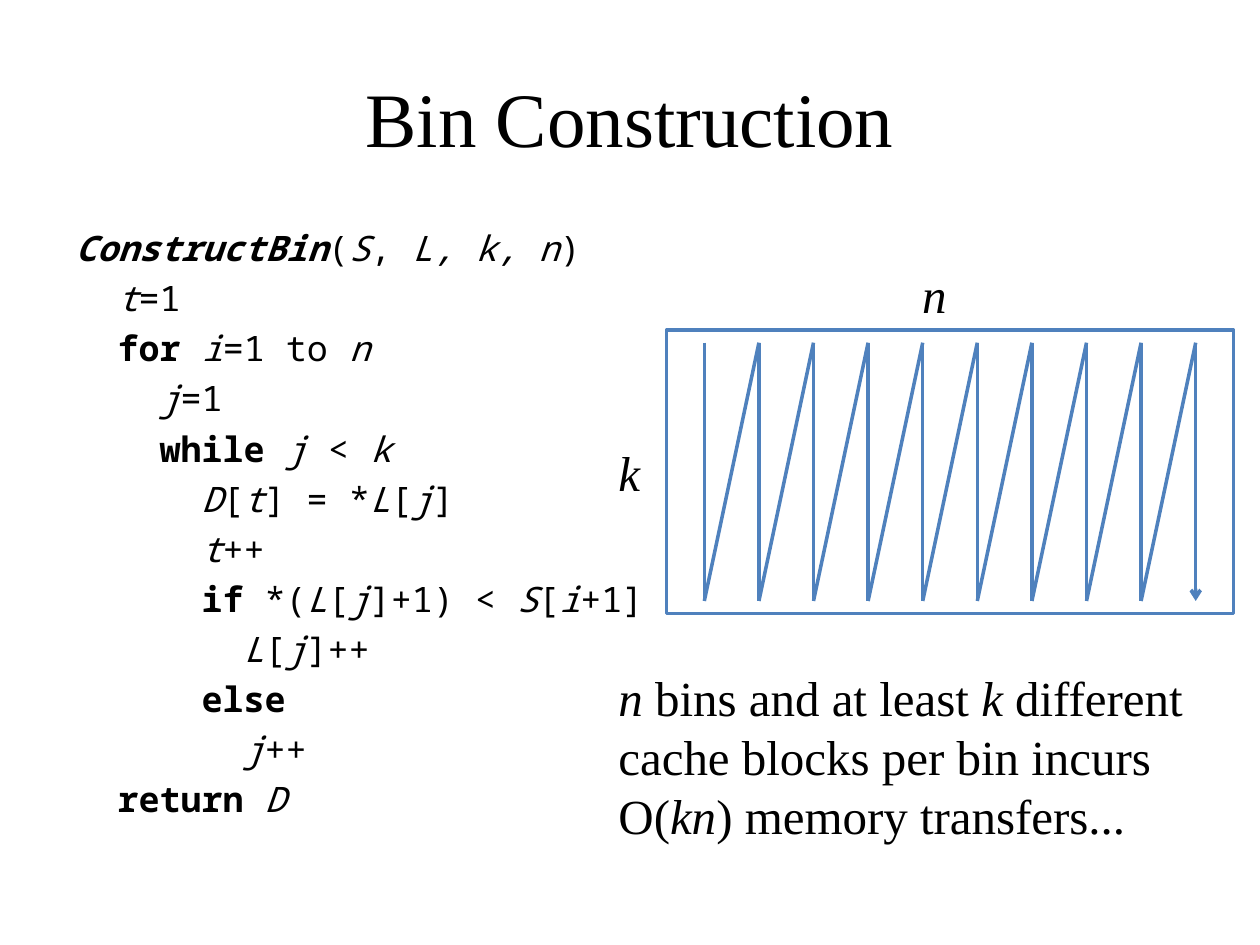
"""Build the Bin Construction slide: pseudocode beside a zigzag scan of a k by n grid."""
from lxml import etree
from pptx import Presentation
from pptx.dml.color import RGBColor
from pptx.enum.shapes import MSO_CONNECTOR, MSO_SHAPE
from pptx.enum.text import MSO_ANCHOR, MSO_AUTO_SIZE, PP_ALIGN
from pptx.oxml.ns import qn
from pptx.util import Inches, Pt

STRAIGHT = MSO_CONNECTOR.STRAIGHT
RECTANGLE = MSO_SHAPE.RECTANGLE
MIDDLE = MSO_ANCHOR.MIDDLE
NO_FIT = MSO_AUTO_SIZE.NONE
CENTER = PP_ALIGN.CENTER
SERIF, MONO = "Times New Roman", "Noto Sans Mono"
BLUE, BLACK = "4F81BD", "000000"


def write(para, markup, size, font):
    """Fill a paragraph; a slash toggles italic and a hash toggles bold."""
    para.font.size, para.font.name = Pt(size), font
    para.font.color.rgb = RGBColor.from_string(BLACK)
    for i, bold_part in enumerate(markup.split("#")):
        for j, text in enumerate(bold_part.split("/")):
            if text:
                span = para.add_run()
                span.text = text
                span.font.bold, span.font.italic = i % 2 == 1, j % 2 == 1


def stroke(shapes, x1, y1, x2, y2):
    """Draw a plain blue line between two points given in inches."""
    line = shapes.add_connector(STRAIGHT, Inches(x1), Inches(y1), Inches(x2), Inches(y2))
    line.line.color.rgb = RGBColor.from_string(BLUE)
    line.line.width = Pt(2)
    etree.SubElement(line._element.spPr, qn("a:effectLst"))
    return line


deck = Presentation()
deck.slide_width, deck.slide_height = Inches(10), Inches(7.5)
page = deck.slides.add_slide(deck.slide_layouts[1])

title = page.shapes.title
title.left, title.top, title.width, title.height = map(Inches, (0.5, 0.3, 9, 1.25))
title.text_frame.vertical_anchor = MIDDLE
para = title.text_frame.paragraphs[0]
para.alignment = CENTER
write(para, "Bin Construction", 44, SERIF)

code_lines = [
    (0, "#/ConstructBin/#(/S/, /L, k, n/)"),
    (1, "/t/=1"),
    (1, "#for #/i/=1 to /n/"),
    (2, "/j/=1"),
    (2, "#while #/j/ < /k/"),
    (3, "/D/[/t/] = */L/[/j/]"),
    (3, "/t/++"),
    (3, "#if# *(/L/[/j/]+1) < /S/[/i/+1]"),
    (4, "/L/[/j/]++"),
    (3, "#else#"),
    (4, "/j/++"),
    (1, "#return #/D/"),
]
code = page.placeholders[1]
code.left, code.top, code.width, code.height = map(Inches, (0.5, 1.75, 4.87, 4.95))
code.text_frame.auto_size = NO_FIT
for number, (depth, markup) in enumerate(code_lines):
    para = code.text_frame.add_paragraph() if number else code.text_frame.paragraphs[0]
    para.space_before = Pt(4.6)
    properties = para._p.get_or_add_pPr()
    properties.set("marL", str(Inches(depth / 3)))
    properties.set("indent", "0")
    etree.SubElement(properties, qn("a:buNone"))
    write(para, markup, 20, MONO)

grid = page.shapes.add_shape(RECTANGLE, Inches(5.29), Inches(2.62), Inches(4.5), Inches(2.25))
grid.shadow.inherit = False
grid.fill.background()
grid.line.color.rgb = RGBColor.from_string(BLUE)
grid.line.width = Pt(2)

scan_top, scan_bottom = 2.72, 4.77
columns = [5.59 + step * 3.9 / 9 for step in range(10)]
scans = page.shapes.add_group_shape()
for x in columns:
    scan = stroke(scans.shapes, x, scan_top, x, scan_bottom)
etree.SubElement(scan.line._get_or_add_ln(), qn("a:tailEnd"), type="arrow")
for x, following in zip(columns, columns[1:]):
    stroke(page.shapes, x, scan_bottom, following, scan_top)

labels = [
    (7.22, 2.05, 0.5, 0.57, False, ["/n/"]),
    (4.81, 3.46, 0.48, 0.57, False, ["/k/"]),
    (4.81, 5.25, 4.98, 1.51, True, [
        "/n/ bins and at least /k /different cache blocks per bin incurs",
        "O(/kn/) memory transfers...",
    ]),
]
for left, top, width, height, wraps, texts in labels:
    box = page.shapes.add_textbox(Inches(left), Inches(top), Inches(width), Inches(height))
    box.text_frame.word_wrap = wraps
    for number, markup in enumerate(texts):
        para = box.text_frame.add_paragraph() if number else box.text_frame.paragraphs[0]
        write(para, markup, 28, SERIF)

deck.save("out.pptx")
